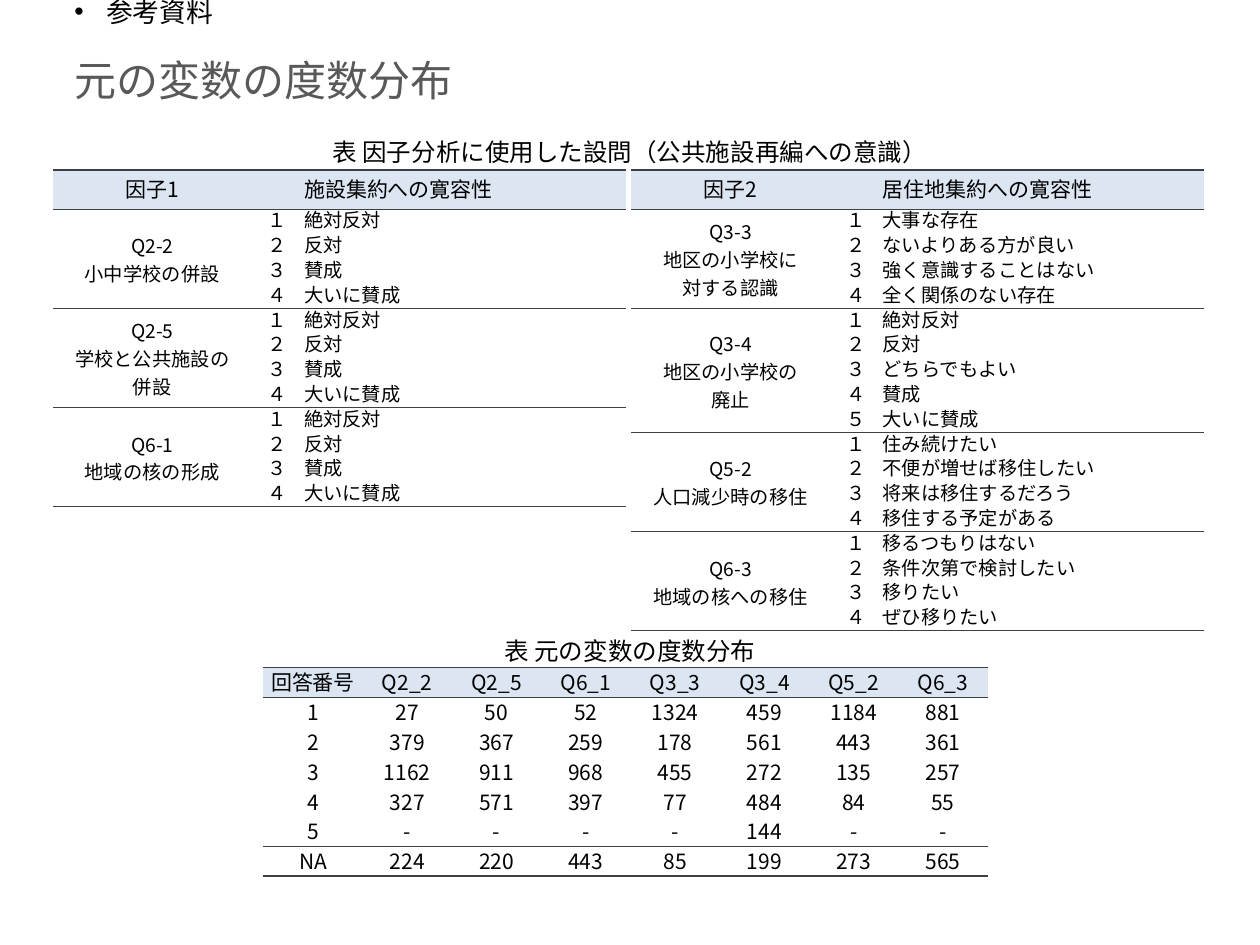
from dataclasses import dataclass

from lxml import etree
from pptx import Presentation
from pptx.dml.color import RGBColor
from pptx.enum.text import MSO_ANCHOR, PP_ALIGN
from pptx.oxml.ns import qn
from pptx.util import Cm, Pt

LEFT, CENTER = PP_ALIGN.LEFT, PP_ALIGN.CENTER
TOP, MIDDLE = MSO_ANCHOR.TOP, MSO_ANCHOR.MIDDLE

FONT = "Noto Sans CJK JP"
BLACK, GREY, RULE, HEADER = "000000", "595959", "404040", "DCE6F2"
THICK, THIN = 1, 0.5
HEADER_H, OPTION_H = 0.6, 0.5
DIGITS = "１２３４５"
AGREEMENT = ("絶対反対", "反対", "賛成", "大いに賛成")


@dataclass
class Label:
    text: str
    left: float
    top: float
    width: float
    height: float
    size: float
    color: str = BLACK
    align: PP_ALIGN = LEFT
    anchor: MSO_ANCHOR = TOP
    spacing: float = 1.0
    bullet: bool = False


@dataclass
class Question:
    lines: tuple
    options: tuple


@dataclass
class Factor:
    name: str
    meaning: str
    left: float
    questions: tuple


LABELS = (
    Label("元の変数の度数分布", 1.25, 1.02, 21.9, 1.32, 24, GREY, anchor=MIDDLE, spacing=0.9),
    Label("参考資料", 1.25, -0.03, 16.13, 1.02, 15.3, spacing=0.7, bullet=True),
    Label("表 因子分析に使用した設問（公共施設再編への意識）", 5.05, 2.64, 15.3, 0.86, 14, align=CENTER),
    Label("表 元の変数の度数分布", 5.05, 12.7, 15.3, 0.86, 14, align=CENTER),
)

FACTORS = (
    Factor("因子1", "施設集約への寛容性", 1.07, (
        Question(("Q2-2", "小中学校の併設"), AGREEMENT),
        Question(("Q2-5", "学校と公共施設の", "併設"), AGREEMENT),
        Question(("Q6-1", "地域の核の形成"), AGREEMENT),
    )),
    Factor("因子2", "居住地集約への寛容性", 12.73, (
        Question(("Q3-3", "地区の小学校に", "対する認識"),
                 ("大事な存在", "ないよりある方が良い", "強く意識することはない", "全く関係のない存在")),
        Question(("Q3-4", "地区の小学校の", "廃止"),
                 ("絶対反対", "反対", "どちらでもよい", "賛成", "大いに賛成")),
        Question(("Q5-2", "人口減少時の移住"),
                 ("住み続けたい", "不便が増せば移住したい", "将来は移住するだろう", "移住する予定がある")),
        Question(("Q6-3", "地域の核への移住"),
                 ("移るつもりはない", "条件次第で検討したい", "移りたい", "ぜひ移りたい")),
    )),
)

COUNTS = (
    ("回答番号", "Q2_2", "Q2_5", "Q6_1", "Q3_3", "Q3_4", "Q5_2", "Q6_3"),
    ("1", "27", "50", "52", "1324", "459", "1184", "881"),
    ("2", "379", "367", "259", "178", "561", "443", "361"),
    ("3", "1162", "911", "968", "455", "272", "135", "257"),
    ("4", "327", "571", "397", "77", "484", "84", "55"),
    ("5", "-", "-", "-", "-", "144", "-", "-"),
    ("NA", "224", "220", "443", "85", "199", "273", "565"),
)


def rgb(color: str) -> RGBColor:
    return RGBColor.from_string(color)


def set_attrs(obj, values: dict) -> None:
    for name, value in values.items():
        setattr(obj, name, value)


def write(p, text: str, size: float, color: str = BLACK) -> None:
    """Add one run with the Latin and East Asian fonts set."""
    r = p.add_run()
    r.text = text
    set_attrs(r.font, {"name": FONT, "size": Pt(size)})
    r.font.color.rgb = rgb(color)
    etree.SubElement(r.font._element, qn("a:ea"), typeface=FONT)


def add_label(slide, label: Label) -> None:
    s = slide.shapes.add_textbox(Cm(label.left), Cm(label.top), Cm(label.width), Cm(label.height))
    tf = s.text_frame
    set_attrs(tf, {"word_wrap": True, "vertical_anchor": label.anchor})
    p = tf.paragraphs[0]
    set_attrs(p, {"alignment": label.align, "line_spacing": label.spacing})
    if label.bullet:
        pPr = p._p.get_or_add_pPr()
        pPr.set("marL", str(Cm(0.64)))
        pPr.set("indent", str(Cm(-0.64)))
        etree.SubElement(pPr, qn("a:buFont"), typeface="Arial")
        etree.SubElement(pPr, qn("a:buChar"), char="•")
    write(p, label.text, label.size, label.color)


def set_borders(cell, top: float, bottom: float) -> None:
    """Rule the top and bottom in points; zero means no line."""
    tcPr = cell._tc.get_or_add_tcPr()
    for side, width in {"L": 0, "R": 0, "T": top, "B": bottom}.items():
        ln = etree.SubElement(tcPr, qn(f"a:ln{side}"), w=str(Pt(width)))
        if width:
            fill = etree.SubElement(ln, qn("a:solidFill"))
            etree.SubElement(fill, qn("a:srgbClr"), val=RULE)
        else:
            etree.SubElement(ln, qn("a:noFill"))


def fill_cell(cell, lines: tuple, size: float, align: PP_ALIGN, spacing: float | None) -> None:
    set_attrs(cell, {"vertical_anchor": MIDDLE, "margin_left": Cm(0.02), "margin_right": Cm(0.02),
                     "margin_top": Cm(0.02), "margin_bottom": 0})
    tf = cell.text_frame
    for i, line in enumerate(lines):
        p = tf.add_paragraph() if i else tf.paragraphs[0]
        p.alignment = align
        if spacing:
            p.line_spacing = Pt(spacing)
        if line:
            write(p, line, size)


def add_ruled_table(slide, left: float, top: float, widths: list, heights: list, rules: dict):
    """Add a plain table; rules maps a row edge (0 is the top) to a line width."""
    s = slide.shapes.add_table(len(heights), len(widths), Cm(left), Cm(top),
                               Cm(sum(widths)), Cm(sum(heights)))
    table = s.table
    set_attrs(table, {"first_row": False, "horz_banding": False})
    for column, width in zip(table.columns, widths):
        column.width = Cm(width)
    for i, (row, height) in enumerate(zip(table.rows, heights)):
        row.height = Cm(height)
        for cell in row.cells:
            set_borders(cell, rules.get(i, 0), rules.get(i + 1, 0))
            if i == 0:
                cell.fill.solid()
                cell.fill.fore_color.rgb = rgb(HEADER)
            else:
                cell.fill.background()
    return table


def add_factor(slide, factor: Factor) -> None:
    starts = [1]
    for question in factor.questions:
        starts.append(starts[-1] + len(question.options))
    end = starts[-1]
    rules = {0: THICK, **{start: THIN for start in starts}, end: THICK}
    table = add_ruled_table(slide, factor.left, 3.43, [4, 1.04, 6.5],
                            [HEADER_H] + [OPTION_H] * (end - 1), rules)
    for j, (text, align) in enumerate(((factor.name, CENTER), ("", CENTER), (factor.meaning, LEFT))):
        fill_cell(table.cell(0, j), (text,), 12, align, 16)
    for start, question in zip(starts, factor.questions):
        last = start + len(question.options) - 1
        origin = table.cell(start, 0)
        origin.merge(table.cell(last, 0))
        set_last = table.cell(start, 0)._tc.tcPr.find(qn("a:lnB"))
        set_last.getparent().replace(set_last, bottom_rule(table.cell(last, 0)))
        fill_cell(origin, question.lines, 11, CENTER, None)
        for i, (digit, option) in enumerate(zip(DIGITS, question.options), start):
            fill_cell(table.cell(i, 1), (digit,), 11, CENTER, 13)
            fill_cell(table.cell(i, 2), (option,), 11, LEFT, 13)


def bottom_rule(cell):
    return etree.fromstring(etree.tostring(cell._tc.tcPr.find(qn("a:lnB"))))


def add_counts(slide) -> None:
    n = len(COUNTS)
    table = add_ruled_table(slide, 5.31, 13.46, [2] + [1.8] * 7, [HEADER_H] * n,
                            {0: THICK, 1: THIN, n - 1: THIN, n: THICK})
    for i, row in enumerate(COUNTS):
        for j, text in enumerate(row):
            fill_cell(table.cell(i, j), (text,), 12, CENTER, 16)


def main() -> None:
    prs = Presentation()
    set_attrs(prs, {"slide_width": Cm(25.4), "slide_height": Cm(19.05)})
    slide = prs.slides.add_slide(prs.slide_layouts[6])
    for label in LABELS:
        add_label(slide, label)
    for factor in FACTORS:
        add_factor(slide, factor)
    add_counts(slide)
    prs.save("out.pptx")


if __name__ == "__main__":
    main()
